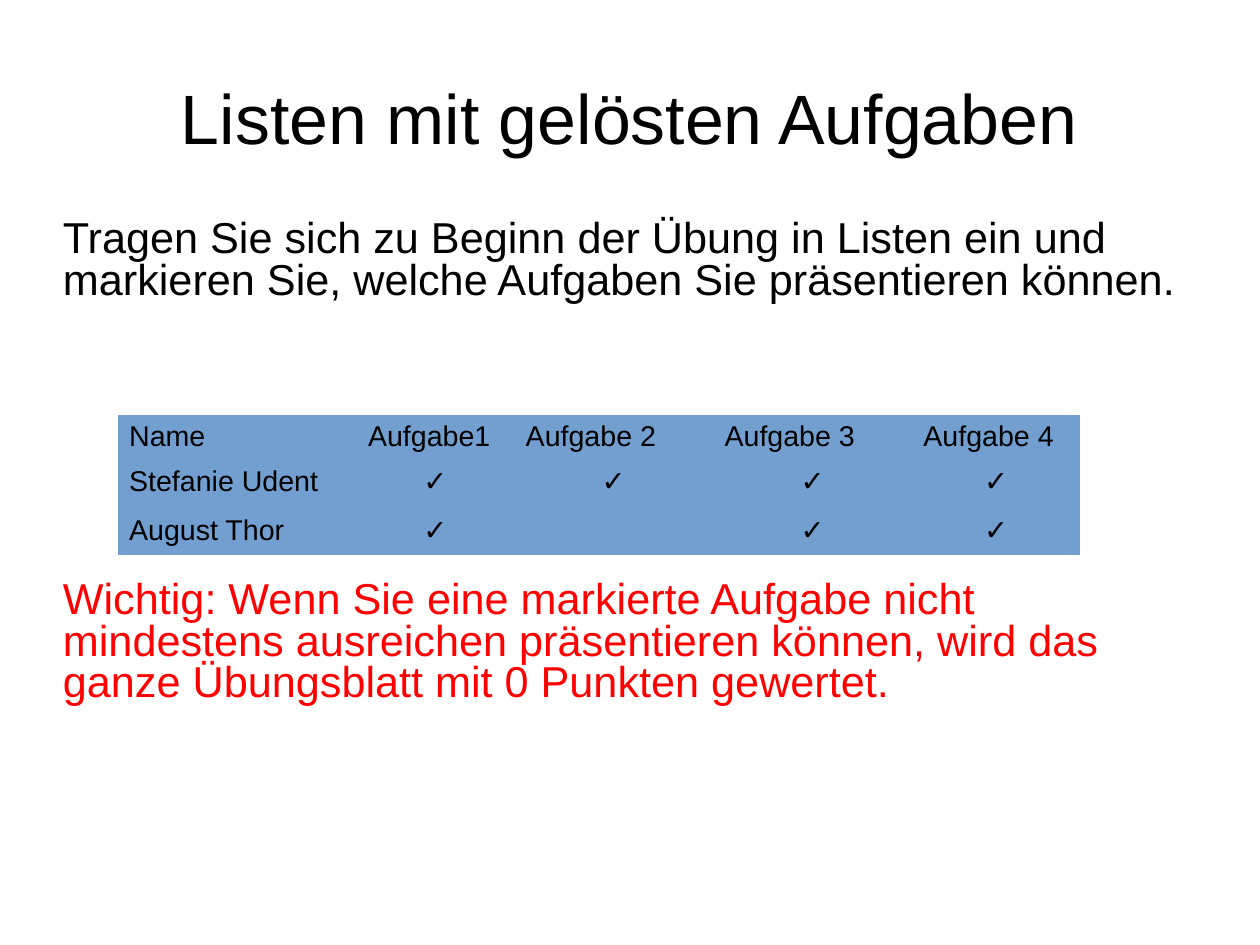
from dataclasses import dataclass

from lxml.etree import SubElement
from pptx import Presentation
from pptx.dml.color import RGBColor
from pptx.enum.text import MSO_ANCHOR, MSO_AUTO_SIZE, PP_ALIGN
from pptx.oxml.ns import qn
from pptx.util import Inches, Pt


@dataclass(frozen=True)
class Theme:
    font: str = "Arial"
    ink: str = "000000"
    warning: str = "FF0000"
    cell: str = "729FCF"
    title_size: float = 44
    body_size: float = 27.2
    table_size: float = 18
    body_spacing: float = 0.8


THEME = Theme()
CM_PER_INCH = 2.54
NO_STYLE_NO_GRID = "{2D5ABB26-0587-4C30-8999-92F81FD0307C}"
CHECK = "✓"
COLUMN_WIDTHS = (2.09, 1.38, 1.74, 1.74, 1.47)
ROW_HEIGHTS = (0.39, 0.43, 0.4)
TABLE_ROWS = (
    ("Name", "Aufgabe1", "Aufgabe 2", "Aufgabe 3", "Aufgabe 4"),
    ("Stefanie Udent", CHECK, CHECK, CHECK, CHECK),
    ("August Thor", CHECK, "", CHECK, CHECK),
)


def write(para, text, size, color=THEME.ink, align=PP_ALIGN.LEFT,
          line_spacing=None, space_before=0):
    para.alignment = align
    para.line_spacing = line_spacing
    para.space_before = Pt(space_before)
    span = para.add_run()
    span.text = text
    span.font.name = THEME.font
    span.font.size = Pt(size)
    span.font.color.rgb = RGBColor.from_string(color)


def place(holder, box, anchor):
    """Move a placeholder to its box and clear its margins."""
    holder.left, holder.top, holder.width, holder.height = map(Inches, box)
    frame = holder.text_frame
    frame.margin_left = frame.margin_right = 0
    frame.margin_top = frame.margin_bottom = 0
    frame.word_wrap = True
    frame.auto_size = MSO_AUTO_SIZE.NONE
    frame.vertical_anchor = anchor
    return frame


def remove_bullet(para):
    properties = para._p.get_or_add_pPr()
    properties.set("marL", "0")
    properties.set("indent", "0")
    SubElement(properties, qn("a:buNone"))


def fill_title(page, box):
    frame = place(page.shapes.title, box, MSO_ANCHOR.MIDDLE)
    write(frame.paragraphs[0], "Listen mit gelösten Aufgaben",
          THEME.title_size, align=PP_ALIGN.CENTER)


def fill_body(page, box):
    frame = place(page.placeholders[1], box, MSO_ANCHOR.TOP)
    instruction, warning = frame.paragraphs[0], frame.add_paragraph()
    for para in (instruction, warning):
        remove_bullet(para)
    write(instruction,
          "Tragen Sie sich zu Beginn der Übung in Listen ein und markieren "
          "Sie, welche Aufgaben Sie präsentieren können.",
          THEME.body_size, line_spacing=THEME.body_spacing)
    write(warning,
          "Wichtig: Wenn Sie eine markierte Aufgabe nicht mindestens "
          "ausreichen präsentieren können, wird das ganze Übungsblatt mit "
          "0 Punkten gewertet.",
          THEME.body_size, color=THEME.warning,
          line_spacing=THEME.body_spacing, space_before=175)


def add_task_table(page, box):
    table = page.shapes.add_table(len(TABLE_ROWS), len(COLUMN_WIDTHS),
                                  *map(Inches, box)).table
    table.first_row = table.horz_banding = False
    table._tbl.tblPr.find(qn("a:tableStyleId")).text = NO_STYLE_NO_GRID
    for column, width in zip(table.columns, COLUMN_WIDTHS):
        column.width = Inches(width)
    for row, height, texts in zip(table.rows, ROW_HEIGHTS, TABLE_ROWS):
        row.height = Inches(height)
        for cell, text in zip(row.cells, texts):
            cell.fill.solid()
            cell.fill.fore_color.rgb = RGBColor.from_string(THEME.cell)
            if text:
                align = PP_ALIGN.CENTER if text == CHECK else PP_ALIGN.LEFT
                write(cell.text_frame.paragraphs[0], text,
                      THEME.table_size, align=align)


def main():
    deck = Presentation()
    deck.slide_width = Inches(28 / CM_PER_INCH)
    deck.slide_height = Inches(21 / CM_PER_INCH)
    page = deck.slides.add_slide(deck.slide_layouts[1])
    fill_title(page, (0.55, 0.33, 9.92, 1.38))
    fill_body(page, (0.55, 1.93, 9.92, 4.79))
    add_task_table(page, (1.03, 3.63, sum(COLUMN_WIDTHS), sum(ROW_HEIGHTS)))
    deck.save("out.pptx")


if __name__ == "__main__":
    main()
